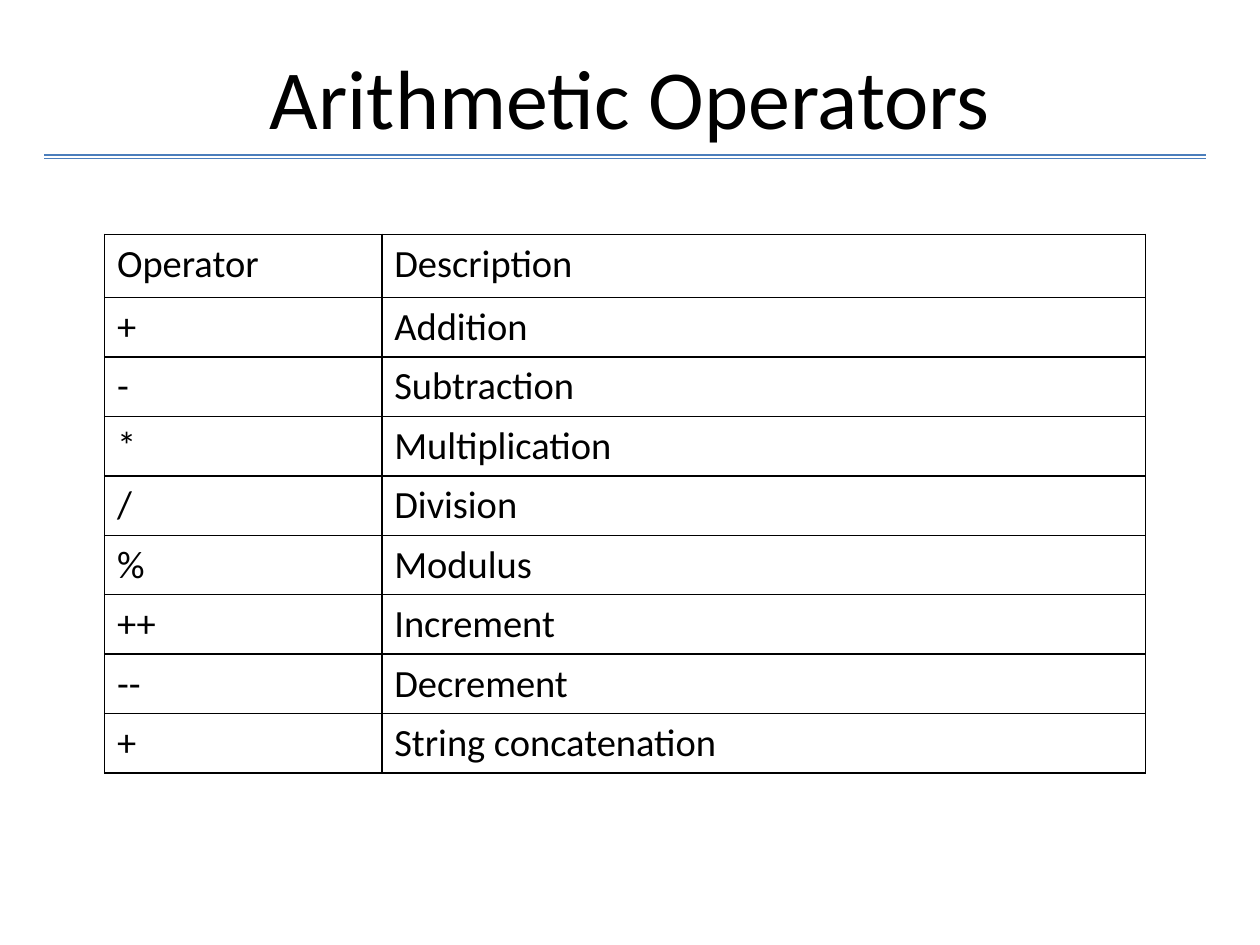
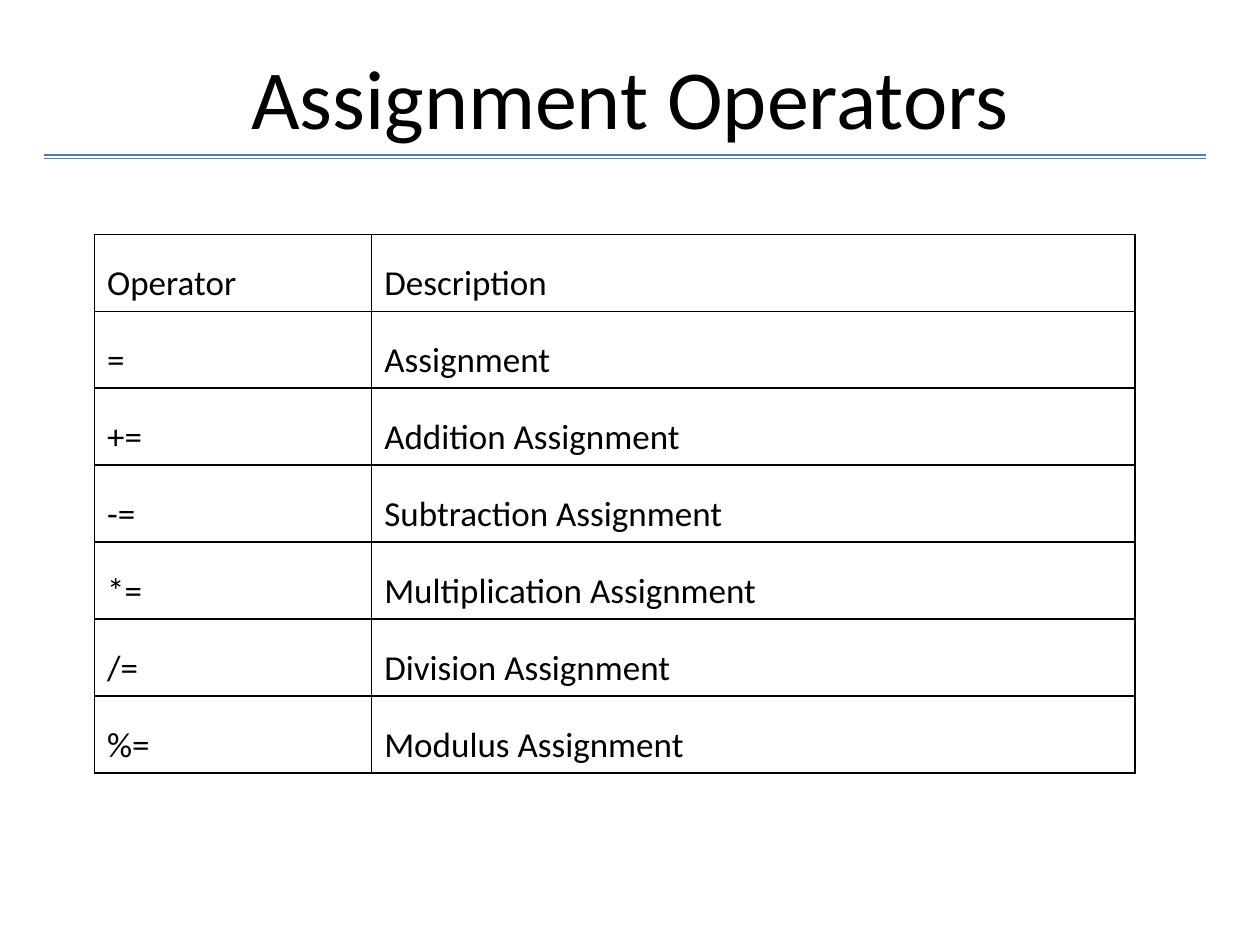
from dataclasses import dataclass

import pptx
import pptx.dml.color
import pptx.enum.shapes
import pptx.enum.text
import pptx.oxml
import pptx.oxml.ns
import pptx.util
from pptx.util import Inches

SLIDES = [
    {
        "title": "Arithmetic Operators",
        "left": 0.83,
        "header_height": 0.5,
        "row_height": 0.47,
        "size": 22,
        "line_spacing": 1.0,
        "rows": [
            ("Operator", "Description"),
            ("+", "Addition"),
            ("-", "Subtraction"),
            ("*", "Multiplication"),
            ("/", "Division"),
            ("%", "Modulus"),
            ("++", "Increment"),
            ("--", "Decrement"),
            ("+", "String concatenation"),
        ],
    },
    {
        "title": "Assignment Operators",
        "left": 0.75,
        "header_height": 0.61,
        "row_height": 0.61,
        "size": 20,
        "line_spacing": 1.5,
        "rows": [
            ("Operator", "Description"),
            ("=", "Assignment"),
            ("+=", "Addition Assignment"),
            ("-=", "Subtraction Assignment"),
            ("*=", "Multiplication Assignment"),
            ("/=", "Division Assignment"),
            ("%=", "Modulus Assignment"),
        ],
    },
]


@dataclass(frozen=True)
class Theme:
    font: str = "Calibri"
    text: str = "000000"
    rule: str = "4B7EBC"
    border: str = "000000"
    title_size: float = 48
    rule_width: float = 0.75
    border_width: float = 1


THEME = Theme()
TITLE_BOX = (0.5, 0.3, 9, 0.93)
RULE_LEFT, RULE_RIGHT = 0.35, 9.57
RULE_TOPS = (1.23, 1.26)
TABLE_TOP = 1.86
COLUMN_WIDTHS = (2.2, 6.06)


def rgb(value):
    return pptx.dml.color.RGBColor.from_string(value)


def format_text(paragraph, size):
    for span in paragraph.runs:
        span.font.name = THEME.font
        span.font.size = pptx.util.Pt(size)
        span.font.bold = False
        span.font.color.rgb = rgb(THEME.text)


def add_title(page, title):
    box = page.shapes.title
    box.left, box.top, box.width, box.height = map(Inches, TITLE_BOX)
    frame = box.text_frame
    frame.text = title
    frame.vertical_anchor = pptx.enum.text.MSO_ANCHOR.MIDDLE
    frame.auto_size = pptx.enum.text.MSO_AUTO_SIZE.NONE
    frame.paragraphs[0].alignment = pptx.enum.text.PP_ALIGN.CENTER
    format_text(frame.paragraphs[0], THEME.title_size)


def add_rules(page):
    for top in RULE_TOPS:
        rule = page.shapes.add_connector(
            pptx.enum.shapes.MSO_CONNECTOR.STRAIGHT,
            Inches(RULE_LEFT), Inches(top), Inches(RULE_RIGHT), Inches(top))
        rule.line.color.rgb = rgb(THEME.rule)
        rule.line.width = pptx.util.Pt(THEME.rule_width)
        properties = rule.element.spPr
        properties.append(pptx.oxml.parse_xml(
            f'<a:effectLst {pptx.oxml.ns.nsdecls("a")}/>'))


def add_borders(cell):
    properties = cell._tc.get_or_add_tcPr()
    width = pptx.util.Pt(THEME.border_width)
    for side in ("lnL", "lnR", "lnT", "lnB"):
        properties.append(pptx.oxml.parse_xml(
            f'<a:{side} {pptx.oxml.ns.nsdecls("a")} w="{width}"><a:solidFill>'
            f'<a:srgbClr val="{THEME.border}"/></a:solidFill></a:{side}>'))


def add_operator_table(page, content):
    rows = content["rows"]
    heights = [content["header_height"]] + [content["row_height"]] * (len(rows) - 1)
    table = page.shapes.add_table(
        len(rows), len(COLUMN_WIDTHS), Inches(content["left"]), Inches(TABLE_TOP),
        Inches(sum(COLUMN_WIDTHS)), Inches(sum(heights))).table
    table.first_row = False
    table.horz_banding = False
    for column, width in zip(table.columns, COLUMN_WIDTHS):
        column.width = Inches(width)
    for row, height, texts in zip(table.rows, heights, rows):
        row.height = Inches(height)
        for cell, text in zip(row.cells, texts):
            cell.text_frame.text = text
            paragraph = cell.text_frame.paragraphs[0]
            paragraph.line_spacing = content["line_spacing"]
            format_text(paragraph, content["size"])
            add_borders(cell)
            cell.fill.background()


def main():
    deck = pptx.Presentation()
    deck.slide_width, deck.slide_height = Inches(10), Inches(7.5)
    title_only = deck.slide_layouts.get_by_name("Title Only")
    for content in SLIDES:
        page = deck.slides.add_slide(title_only)
        add_rules(page)
        add_title(page, content["title"])
        add_operator_table(page, content)
    deck.save("out.pptx")


if __name__ == "__main__":
    main()
